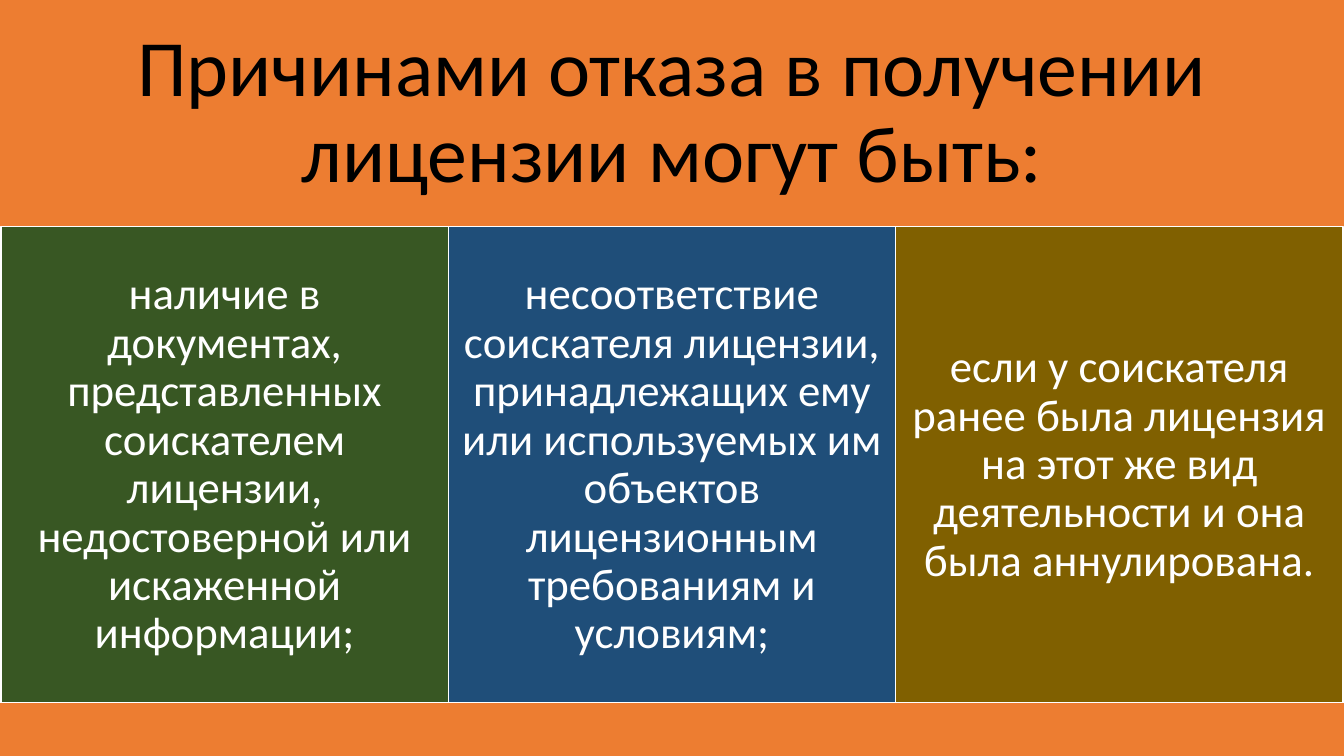
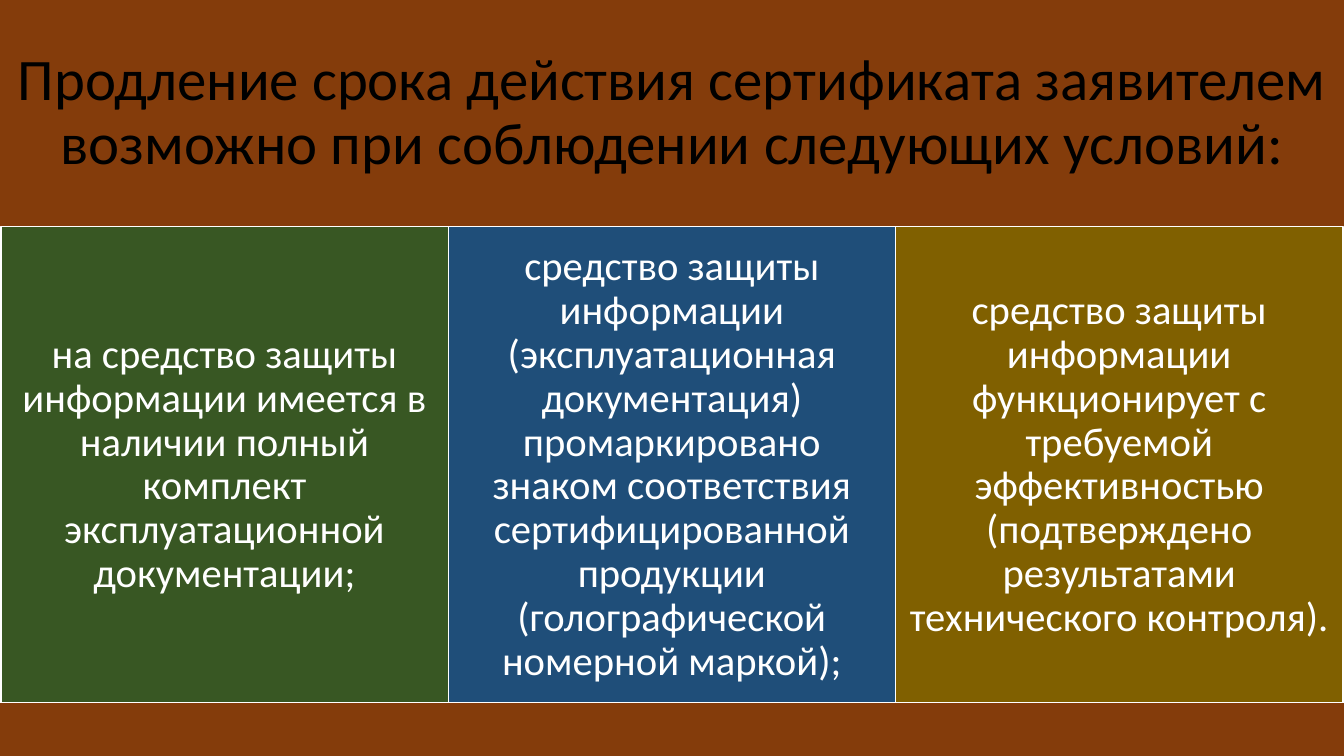
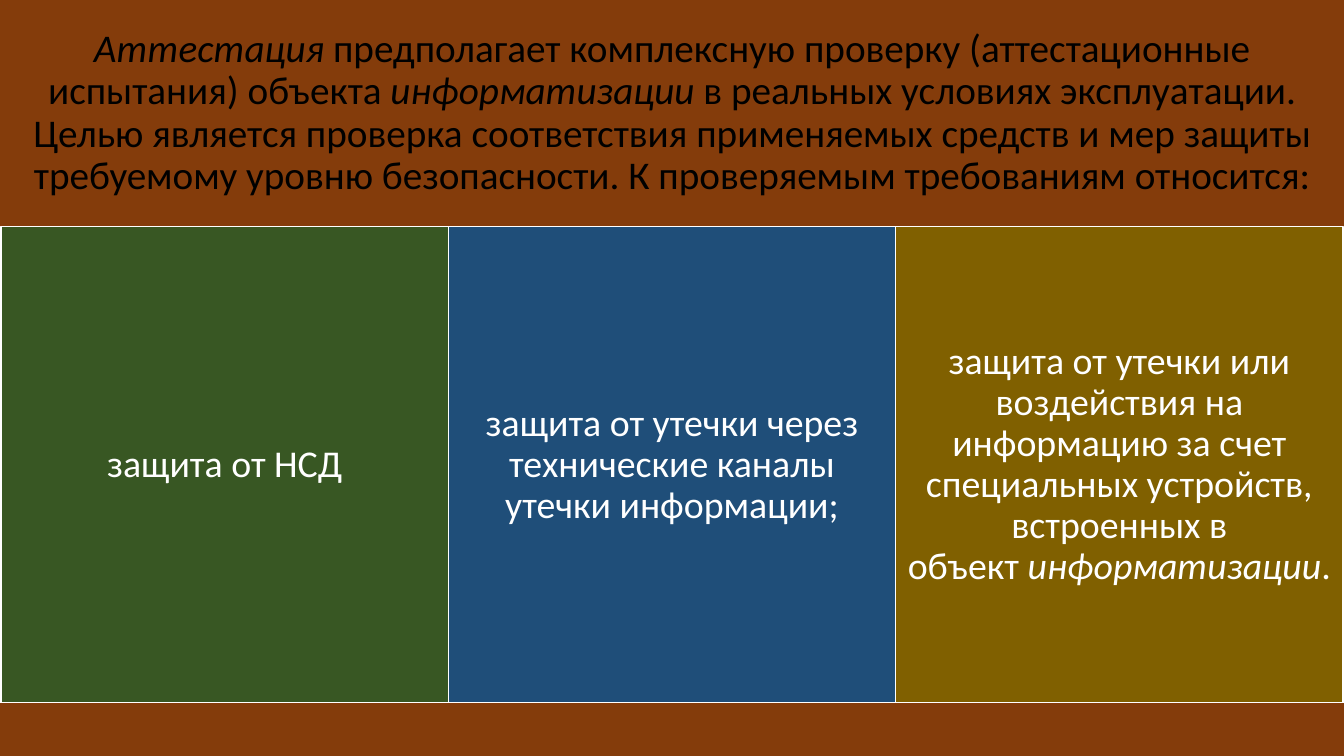
"""Build three slides, each with a heading band over three coloured columns."""

import dataclasses
import typing

import pptx
import pptx.dml.color
import pptx.enum.shapes
import pptx.enum.text
import pptx.shapes.base
import pptx.slide
import pptx.util


@dataclasses.dataclass(frozen=True)
class Theme:
    font: str = "Calibri"
    paper: str = "FFF2CC"
    heading_ink: str = "000000"
    column_ink: str = "FFFFFF"
    border: str = "FFFFFF"
    border_width: float = 1
    orange: str = "ED7D31"
    brown: str = "843C0B"
    columns: tuple[str, ...] = ("385723", "1F4E79", "806000")
    heading_sizes: tuple[int, ...] = (57, 42, 28)
    column_sizes: tuple[int, ...] = (32, 29, 27)
    line_spacing: float = 0.9
    inset_share: float = 0.3


class Run(typing.NamedTuple):
    text: str
    italic: bool = False


class Box(typing.NamedTuple):
    left: int
    top: int
    width: int
    height: int


@dataclasses.dataclass(frozen=True)
class Page:
    band: str
    heading_size: int
    column_size: int
    heading: tuple[Run, ...]
    columns: tuple[tuple[Run, ...], ...]


THEME = Theme()
NBSP = chr(160)
WIDTH = pptx.util.Inches(13.33)
HEIGHT = pptx.util.Inches(7.5)
SIDE = pptx.util.Inches(0.01)
HEADING_SHARE = 0.3
COLUMN_SHARE = 0.63

PAGES = (
    Page(
        THEME.orange, THEME.heading_sizes[0], THEME.column_sizes[0],
        (Run("Причинами отказа в получении лицензии могут быть:"),),
        (
            (Run("наличие в документах, представленных соискателем лицензии, "
                 "недостоверной или искаженной информации;"),),
            (Run("несоответствие соискателя лицензии, принадлежащих ему или "
                 "используемых им объектов лицензионным требованиям и условиям;"),),
            (Run("если у соискателя ранее была лицензия на этот же вид "
                 "деятельности и она была аннулирована."),),
        ),
    ),
    Page(
        THEME.brown, THEME.heading_sizes[1], THEME.column_sizes[1],
        (Run("Продление срока действия сертификата заявителем возможно "
             "при соблюдении следующих условий:"),),
        (
            (Run("на средство защиты информации имеется в наличии полный "
                 "комплект эксплуатационной документации;"),),
            (Run("средство защиты информации (эксплуатационная документация) "
                 "промаркировано знаком соответствия сертифицированной продукции "
                 "(голографической номерной маркой);"),),
            (Run("средство защиты информации функционирует с требуемой "
                 "эффективностью (подтверждено результатами технического контроля)."),),
        ),
    ),
    Page(
        THEME.brown, THEME.heading_sizes[2], THEME.column_sizes[2],
        (
            Run("Аттестация", True),
            Run(f"{NBSP}предполагает комплексную проверку (аттестационные "
                f"испытания) объекта{NBSP}"),
            Run("информатизации", True),
            Run(f"{NBSP}в реальных условиях эксплуатации. Целью является проверка "
                "соответствия применяемых средств и мер защиты требуемому уровню "
                "безопасности. К проверяемым требованиям относится:"),
        ),
        (
            (Run("защита от НСД"),),
            (Run("защита от утечки через технические каналы утечки информации;"),),
            (
                Run("защита от утечки или воздействия на информацию за счет "
                    f"специальных устройств, встроенных в объект{NBSP}"),
                Run("информатизации", True),
                Run("."),
            ),
        ),
    ),
)


def rgb(value: str) -> pptx.dml.color.RGBColor:
    """Return the colour for a hexadecimal value."""
    return pptx.dml.color.RGBColor.from_string(value)


def apply(target: typing.Any, formats: dict[str, typing.Any]) -> None:
    """Set every format value on the target."""
    for attribute, value in formats.items():
        setattr(target, attribute, value)


def paint(shape: pptx.shapes.base.BaseShape, colour: str) -> None:
    """Fill a shape with one colour."""
    shape.fill.solid()
    shape.fill.fore_color.rgb = rgb(colour)


def write(shape: pptx.shapes.base.BaseShape, runs: tuple[Run, ...],
          size: int, ink: str) -> None:
    """Write centred text with insets that follow the type size."""
    frame = shape.text_frame
    sides = ("left", "top", "right", "bottom")
    inset = pptx.util.Pt(size * THEME.inset_share)
    apply(frame, {f"margin_{side}": inset for side in sides} | {
        "word_wrap": True,
        "auto_size": pptx.enum.text.MSO_AUTO_SIZE.NONE,
        "vertical_anchor": pptx.enum.text.MSO_ANCHOR.MIDDLE,
    })
    paragraph = frame.paragraphs[0]
    apply(paragraph, {
        "alignment": pptx.enum.text.PP_ALIGN.CENTER,
        "line_spacing": THEME.line_spacing,
    })
    for content in runs:
        run = paragraph.add_run()
        run.text = content.text
        apply(run.font, {"name": THEME.font, "size": pptx.util.Pt(size),
                         "italic": content.italic})
        run.font.color.rgb = rgb(ink)


def add_block(slide: pptx.slide.Slide, box: Box,
              colour: str) -> pptx.shapes.base.BaseShape:
    """Add a plain filled rectangle without outline or shadow."""
    block = slide.shapes.add_shape(
        pptx.enum.shapes.MSO_SHAPE.RECTANGLE, *box)
    block.shadow.inherit = False
    block.line.fill.background()
    paint(block, colour)
    return block


def add_page(deck: typing.Any, page: Page) -> None:
    """Add a slide with its heading, columns and bottom band."""
    slide = deck.slides.add_slide(deck.slide_layouts[5])
    column_top = round(HEIGHT * HEADING_SHARE)
    column_height = round(HEIGHT * COLUMN_SHARE)
    column_width = (WIDTH - 2 * SIDE) // len(page.columns)
    band_top = column_top + column_height

    heading = slide.shapes.title
    apply(heading, Box(0, 0, WIDTH, column_top)._asdict())
    paint(heading, page.band)
    write(heading, page.heading, page.heading_size, THEME.heading_ink)

    for index, (runs, colour) in enumerate(zip(page.columns, THEME.columns)):
        box = Box(SIDE + index * column_width, column_top,
                  column_width, column_height)
        column = add_block(slide, box, colour)
        column.line.color.rgb = rgb(THEME.border)
        column.line.width = pptx.util.Pt(THEME.border_width)
        write(column, runs, page.column_size, THEME.column_ink)

    add_block(slide, Box(0, band_top, WIDTH, HEIGHT - band_top), page.band)


def main() -> None:
    """Build and save the presentation."""
    deck = pptx.Presentation()
    apply(deck, {"slide_width": WIDTH, "slide_height": HEIGHT})
    paper = deck.slide_master.background.fill
    paper.solid()
    paper.fore_color.rgb = rgb(THEME.paper)
    for page in PAGES:
        add_page(deck, page)
    deck.save("out.pptx")


if __name__ == "__main__":
    main()
